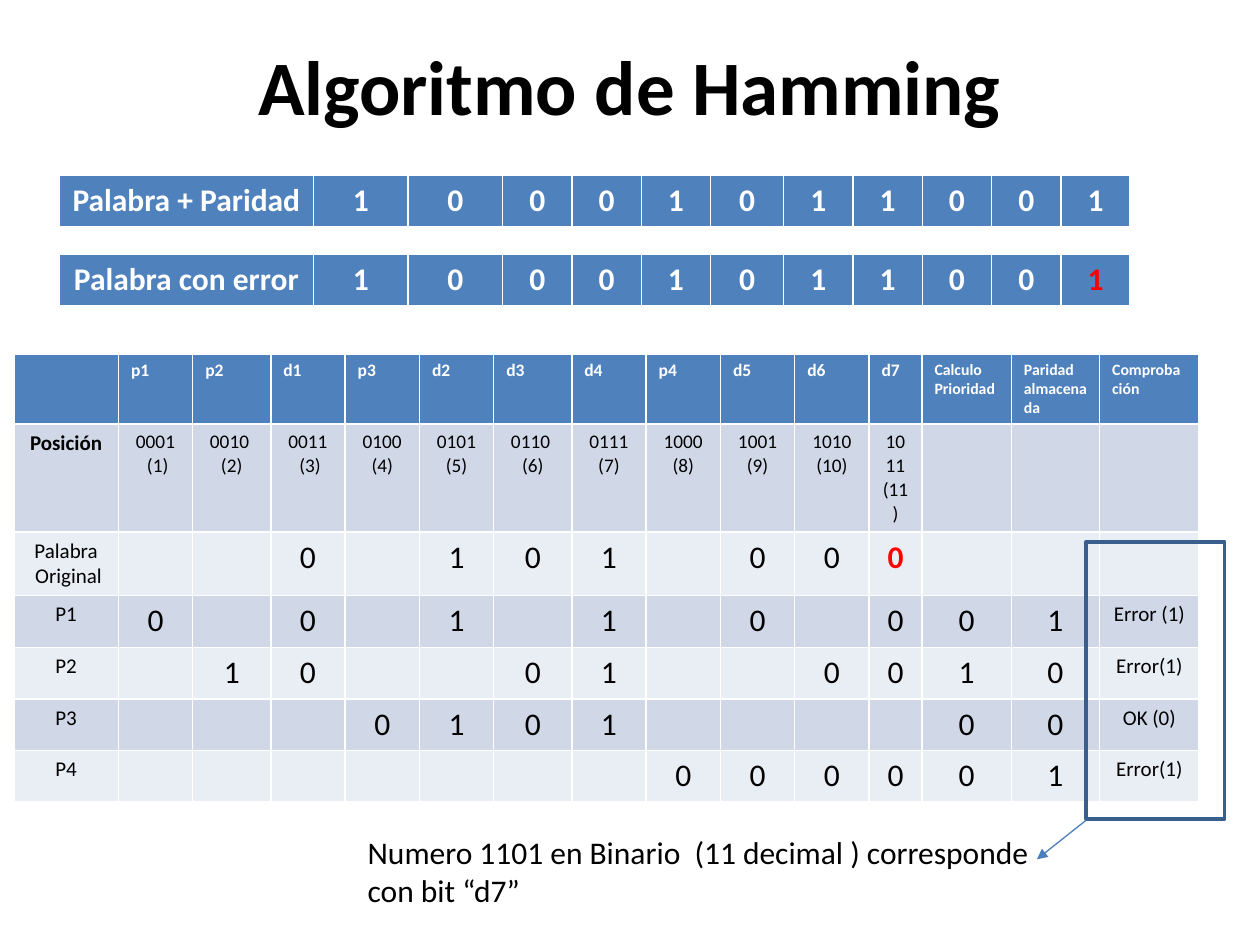
"""Build a slide that works through the Hamming algorithm."""
import dataclasses

import pptx
import pptx.dml.color
import pptx.enum.shapes
import pptx.enum.text
import pptx.oxml
import pptx.oxml.ns
import pptx.util

ALIGN = pptx.enum.text.PP_ALIGN
ANCHOR = pptx.enum.text.MSO_ANCHOR
SHAPE = pptx.enum.shapes.MSO_SHAPE
LINE = pptx.enum.shapes.MSO_CONNECTOR
COLS, ROWS = 10, 7.5
WORD = "10001011001"
WORD_COLS = [2.02, 0.75, 0.75] + [0.55] * 3 + [0.58] + [0.55] * 5
GRID_COLS = ([0.83, 0.59, 0.62] + [0.59] * 3 + [0.62] + [0.59] * 4
             + [0.42, 0.71, 0.7, 0.79])
GRID_ROWS = [0.38, 0.58, 0.4] + [0.41] * 4
BITS = "p1 p2 d1 p3 d2 d3 d4 p4 d5 d6 d7".split()
HEADS = ["Calculo\nPrioridad", "Paridad\nalmacenada", "Comprobación"]
PLACES = ["0001\n (1)", "0010 \n(2)", "0011\n (3)", "0100\n(4)",
          "0101\n(5)", "0110 \n(6)", "0111\n(7)", "1000\n(8)",
          "1001\n(9)", "1010\n(10)", "1011\n(11)"]
CHECKS = [
    ("Palabra\n Original", "..0.101.000..", ""),
    ("P1", "0.0.1.1.0.001", "Error (1)"),
    ("P2", ".10..01..0010", "Error(1)"),
    ("P3", "...0101....00", "OK (0)"),
    ("P4", ".......000001", "Error(1)"),
]


@dataclasses.dataclass(frozen=True)
class Theme:
    """Hold the colours, font and type sizes."""
    font: str = "Calibri"
    ink: str = "000000"
    paper: str = "FFFFFF"
    head: str = "4F81BD"
    bands: tuple = ("D0D8E8", "E9EDF4")
    alert: str = "FF0000"
    frame: str = "3A5F8C"
    arrow: str = "4B7EBC"
    title: float = 44
    body: float = 18
    label: float = 12
    place: float = 11
    bit: float = 10
    note: float = 9


THEME = Theme()


def rgb(code):
    """Turn a hex code into a colour."""
    return pptx.dml.color.RGBColor.from_string(code)


def units(*sizes):
    """Turn grid units of one inch into lengths."""
    return [pptx.util.Inches(size) for size in sizes]


def style(frame, size, color=THEME.ink, bold=False, align=ALIGN.CENTER):
    """Format every paragraph of a text frame."""
    for para in frame.paragraphs:
        para.alignment = align
        para.font.name = THEME.font
        para.font.size = pptx.util.Pt(size)
        para.font.bold = bold
        para.font.color.rgb = rgb(color)


def put(cell, text, fill, size, **look):
    """Fill a cell and write its text."""
    cell.fill.solid()
    cell.fill.fore_color.rgb = rgb(fill)
    cell.text = text
    style(cell.text_frame, size, **look)


def add_grid(slide, left, top, cols, rows):
    """Add a table with the given column widths and row heights."""
    area = units(left, top, sum(cols), sum(rows))
    table = slide.shapes.add_table(len(rows), len(cols), *area).table
    for col, width in zip(table.columns, units(*cols)):
        col.width = width
    for row, height in zip(table.rows, units(*rows)):
        row.height = height
    return table


def add_title(slide, text):
    """Place and format the title."""
    title = slide.shapes.title
    title.left, title.top, title.width, title.height = units(0.5, 0.05, 9, 1.25)
    title.text_frame.text = text
    title.text_frame.vertical_anchor = ANCHOR.MIDDLE
    style(title.text_frame, THEME.title, bold=True)


def add_word(slide, top, name, last):
    """Add a one-row table of the coded word."""
    table = add_grid(slide, 0.47, top, WORD_COLS, [0.39])
    for col, text in enumerate([name, *WORD]):
        color = last if col == len(WORD) else THEME.paper
        put(table.cell(0, col), text, THEME.head, THEME.body,
            color=color, bold=True)


def add_checks(slide):
    """Add the table of parity checks."""
    table = add_grid(slide, 0.11, 2.81, GRID_COLS, GRID_ROWS)
    for col, text in enumerate(["", *BITS, *HEADS]):
        size = THEME.note if text in HEADS else THEME.bit
        put(table.cell(0, col), text, THEME.head, size,
            color=THEME.paper, bold=True, align=ALIGN.LEFT)
    for col, text in enumerate(["Posición", *PLACES, "", "", ""]):
        size = THEME.place if col else THEME.label
        put(table.cell(1, col), text, THEME.bands[0], size, bold=col == 0)
    for row, (name, bits, state) in enumerate(CHECKS, 2):
        texts = [name, *bits.replace(".", " "), state]
        for col, text in enumerate(texts):
            size = THEME.body if 0 < col < len(texts) - 1 else THEME.label
            wrong = row == 2 and col == len(BITS)
            put(table.cell(row, col), text.strip() if col else text,
                THEME.bands[(row - 1) % 2], size, bold=wrong,
                color=THEME.alert if wrong else THEME.ink)


def add_frame(slide):
    """Outline the column of results."""
    frame = slide.shapes.add_shape(SHAPE.RECTANGLE, *units(8.62, 4.3, 1.1, 2.2))
    frame.shadow.inherit = False
    frame.fill.background()
    frame.line.color.rgb = rgb(THEME.frame)
    frame.line.width = pptx.util.Pt(2)


def add_arrow(slide):
    """Point from the frame to the remark."""
    ends = units(8.62, 6.51, 8.23, 6.82)
    arrow = slide.shapes.add_connector(LINE.STRAIGHT, *ends)
    arrow.line.color.rgb = rgb(THEME.arrow)
    arrow.line.width = pptx.util.Pt(0.75)
    tip = pptx.oxml.parse_xml(
        f'<a:tailEnd {pptx.oxml.ns.nsdecls("a")} type="triangle"/>')
    arrow.line._get_or_add_ln().append(tip)
    arrow._element.spPr.append(pptx.oxml.parse_xml(
        f'<a:effectLst {pptx.oxml.ns.nsdecls("a")}/>'))


def add_remark(slide, text):
    """Add the remark below the table."""
    frame = slide.shapes.add_textbox(*units(2.82, 6.56, 5.6, 0.71)).text_frame
    frame.word_wrap = True
    frame.auto_size = pptx.enum.text.MSO_AUTO_SIZE.SHAPE_TO_FIT_TEXT
    frame.text = text
    style(frame, THEME.body, align=ALIGN.LEFT)


def main():
    """Build and save the slide."""
    deck = pptx.Presentation()
    deck.slide_width, deck.slide_height = units(COLS, ROWS)
    slide = deck.slides.add_slide(deck.slide_layouts[5])
    add_title(slide, "Algoritmo de Hamming")
    add_word(slide, 1.39, "Palabra + Paridad", THEME.paper)
    add_word(slide, 2.02, "Palabra con error", THEME.alert)
    add_checks(slide)
    add_frame(slide)
    add_arrow(slide)
    add_remark(slide, "Numero 1101 en Binario  (11 decimal ) "
                      "corresponde con bit “d7”")
    deck.save("out.pptx")


if __name__ == "__main__":
    main()
